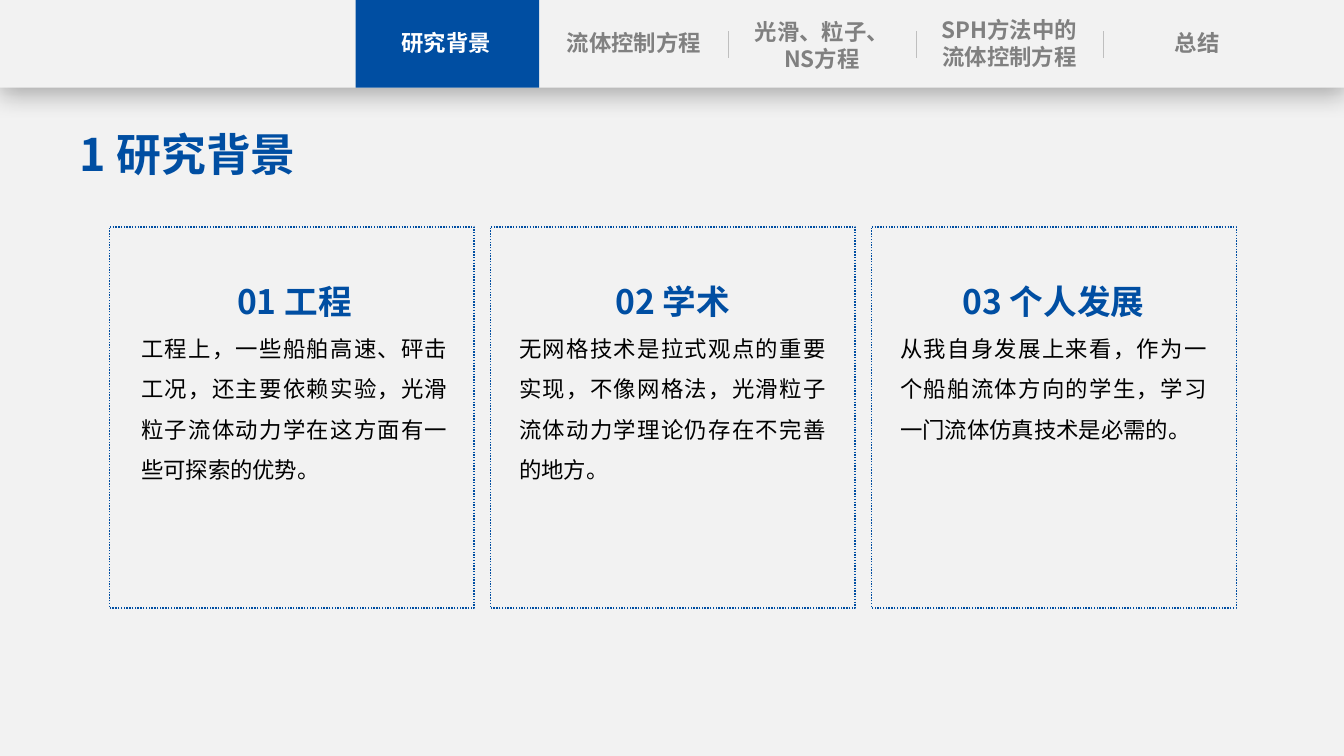
from lxml.etree import SubElement
from pptx import Presentation
from pptx.dml.color import RGBColor
from pptx.enum.dml import MSO_LINE
from pptx.enum.shapes import MSO_CONNECTOR, MSO_SHAPE
from pptx.enum.text import MSO_AUTO_SIZE, PP_ALIGN
from pptx.oxml.ns import qn
from pptx.util import Inches, Pt

COLORS = {
    "paper": "F2F2F2",
    "blue": "004EA2",
    "gray": "808080",
    "rule": "BFBFBF",
    "white": "FFFFFF",
    "black": "000000",
}
FONT = "Noto Sans CJK SC"
COLUMNS, ROWS = 160, 90
CELL = Inches(13.33) / COLUMNS

TAB_LEFT, TAB_STEP, TAB_WIDTH = 44.3, 22.35, 17.65
BAR_HEIGHT = 10.45
CARD_LEFT, CARD_TOP, CARD_STEP = 13, 27, 45.36
CARD_WIDTH, CARD_HEIGHT = 43.45, 45.36

# Label, top row and height of each navigation tab
TABS = [
    ("研究背景", 2.9, 4.6),
    ("流体控制方程", 2.9, 4.6),
    ("光滑、粒子、NS方程", 1.55, 7.7),
    ("SPH方法中的流体控制方程", 1.3, 7.7),
    ("总结", 2.9, 4.6),
]
# Heading, body, text inset and text height of each card
CARDS = [
    ("01 工程", "工程上，一些船舶高速、砰击工况，还主要依赖实验，光滑粒子流体动力学在这方面有一些可探索的优势。", 3.8, 26.65),
    ("02 学术", "无网格技术是拉式观点的重要实现，不像网格法，光滑粒子流体动力学理论仍存在不完善的地方。", 3.45, 26.65),
    ("03 个人发展", "从我自身发展上来看，作为一个船舶流体方向的学生，学习一门流体仿真技术是必需的。", 3.45, 21.85),
]


def rgb(name):
    return RGBColor.from_string(COLORS[name])


def cells(*lengths):
    """Turn grid columns or rows into slide lengths."""
    return [round(length * CELL) for length in lengths]


def write(para, text, size=16, color="black", bold=False, align=None, spacing=None):
    para.alignment = align
    para.line_spacing = spacing
    span = para.add_run()
    span.text = text
    span.font.size = Pt(size)
    span.font.bold = bold
    span.font.name = FONT
    span.font.color.rgb = rgb(color)
    SubElement(span.font._element, qn("a:ea"), typeface=FONT)


class Page:
    def __init__(self, deck):
        self.slide = deck.slides.add_slide(deck.slide_layouts[6])
        self.slide.background.fill.solid()
        self.slide.background.fill.fore_color.rgb = rgb("paper")

    def panel(self, left, top, width, height, fill=None, line=None):
        box = self.slide.shapes.add_shape(
            MSO_SHAPE.RECTANGLE, *cells(left, top, width, height))
        box.shadow.inherit = False
        if fill:
            box.fill.solid()
            box.fill.fore_color.rgb = rgb(fill)
        else:
            box.fill.background()
        if line:
            box.line.color.rgb = rgb(line)
            box.line.width = Pt(1)
            box.line.dash_style = MSO_LINE.ROUND_DOT
        else:
            box.line.fill.background()
        return box

    def drop_shadow(self, box):
        effects = box._element.spPr.find(qn("a:effectLst"))
        shadow = SubElement(effects, qn("a:outerShdw"), blurRad=str(Pt(18)),
                            dist=str(Pt(4)), dir="5400000", algn="t", rotWithShape="0")
        color = SubElement(shadow, qn("a:srgbClr"), val=COLORS["black"])
        SubElement(color, qn("a:alpha"), val="29000")

    def divider(self, column, top, bottom):
        line = self.slide.shapes.add_connector(
            MSO_CONNECTOR.STRAIGHT, *cells(column, top, column, bottom))
        line.line.color.rgb = rgb("rule")
        line.line.width = Pt(0.5)
        SubElement(line._element.spPr, qn("a:effectLst"))

    def text(self, left, top, width, height, paragraphs, margin=0.6):
        """Add a text box; each paragraph is a (text, format) pair."""
        box = self.slide.shapes.add_textbox(*cells(left, top, width, height))
        frame = box.text_frame
        frame.word_wrap = True
        frame.auto_size = MSO_AUTO_SIZE.SHAPE_TO_FIT_TEXT
        frame.margin_left = frame.margin_right = 0
        frame.margin_top, frame.margin_bottom = cells(margin, margin)
        for index, (words, style) in enumerate(paragraphs):
            para = frame.add_paragraph() if index else frame.paragraphs[0]
            write(para, words, **style)


def add_navigation(page):
    bar = page.panel(0, 0, COLUMNS, BAR_HEIGHT, fill="paper")
    page.drop_shadow(bar)
    page.panel(TAB_LEFT - 1.95, 0, 21.85, BAR_HEIGHT, fill="blue")
    for index, (label, top, height) in enumerate(TABS):
        left = TAB_LEFT + index * TAB_STEP
        if index > 1:
            page.divider(left - 2.3, 3.7, 6.95)
        style = dict(color="gray" if index else "white", bold=True, align=PP_ALIGN.CENTER)
        page.text(left, top, TAB_WIDTH, height, [(label, style)])


def add_cards(page):
    heading_style = dict(size=24, color="blue", bold=True,
                         align=PP_ALIGN.CENTER, spacing=1.5)
    body_style = dict(align=PP_ALIGN.JUSTIFY, spacing=1.5)
    for index, (heading, body, inset, height) in enumerate(CARDS):
        left = CARD_LEFT + index * CARD_STEP
        page.panel(left, CARD_TOP, CARD_WIDTH, CARD_HEIGHT, line="blue")
        page.text(left + inset, CARD_TOP + 4.1, 36.5, height,
                  [(heading, heading_style), (body, body_style)], margin=0)


def main():
    deck = Presentation()
    deck.slide_width, deck.slide_height = cells(COLUMNS, ROWS)
    page = Page(deck)
    add_navigation(page)
    page.text(9.5, 14.5, 40.7, 7.7,
              [("1 研究背景", dict(size=32, color="blue", bold=True))])
    add_cards(page)
    deck.save("out.pptx")


if __name__ == "__main__":
    main()
